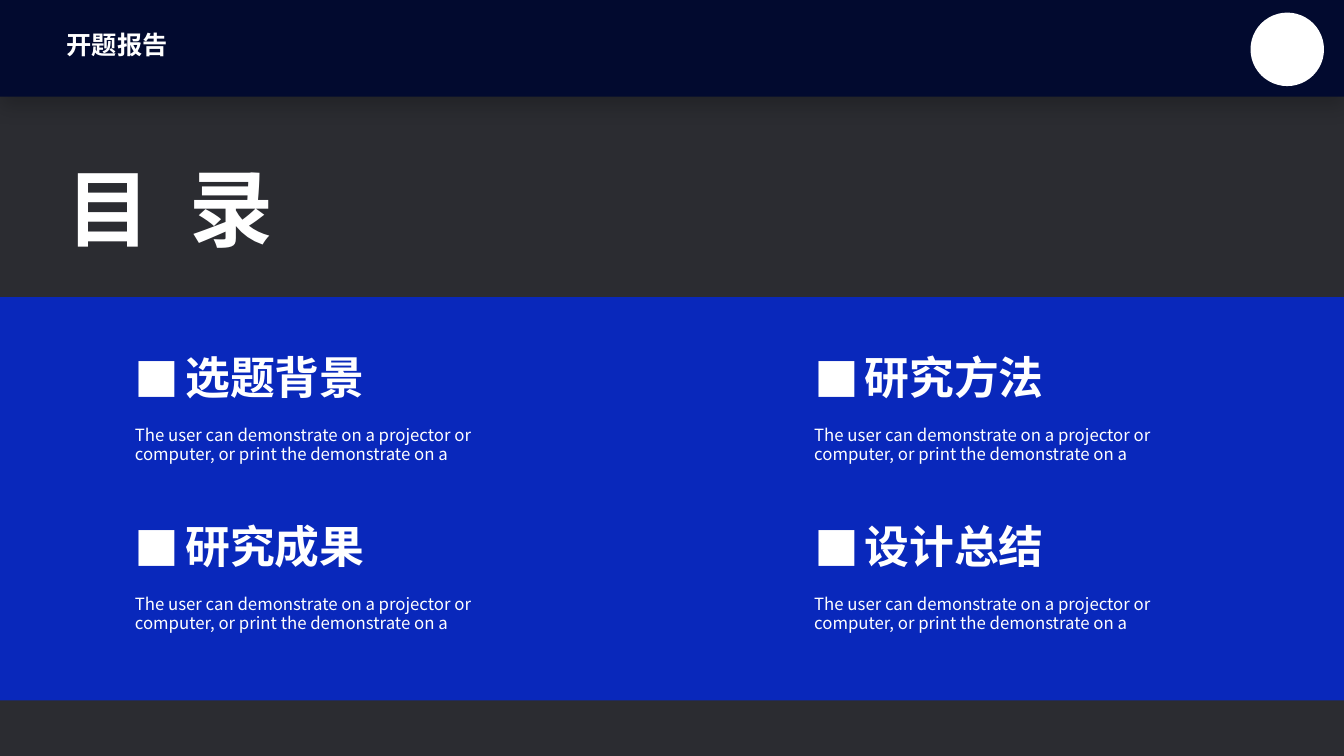
from dataclasses import dataclass

from lxml.etree import SubElement
from pptx import Presentation
from pptx.dml.color import RGBColor
from pptx.enum.shapes import MSO_SHAPE
from pptx.oxml.ns import qn
from pptx.shapes.autoshape import Shape
from pptx.util import Emu, Pt

EMU_PER_PX = 9525
FONT = "Noto Sans CJK SC"
CHARCOAL = RGBColor(0x2B, 0x2C, 0x31)
BLUE = RGBColor(0x09, 0x28, 0xBB)
NAVY = RGBColor(0x02, 0x0A, 0x2F)
WHITE = RGBColor(0xFF, 0xFF, 0xFF)

TOPICS = ("选题背景", "研究方法", "研究成果", "设计总结")
SUMMARY = (
    "The user can demonstrate on a projector or computer, "
    "or print the demonstrate on a"
)
COLUMNS = 2
GRID_LEFT, GRID_TOP = 119, 334
COLUMN_STEP, ROW_STEP = 647, 161
SUMMARY_DROP = 67


@dataclass(frozen=True)
class Box:
    left: int
    top: int
    width: int
    height: int

    def emu(self) -> list[Emu]:
        edges = (self.left, self.top, self.width, self.height)
        return [Emu(edge * EMU_PER_PX) for edge in edges]


@dataclass(frozen=True)
class TextStyle:
    size: int
    line_spacing: float
    bold: bool = True
    wrap: bool = True
    tracking: int = 0
    bullet: str = ""


LABEL = TextStyle(18, 0.87, wrap=False)
TITLE = TextStyle(60, 1.01, tracking=700)
HEADING = TextStyle(32, 0.9, bullet="■")
BODY = TextStyle(12, 0.95, bold=False)


def add_block(shapes, kind: MSO_SHAPE, box: Box, color: RGBColor) -> Shape:
    block = shapes.add_shape(kind, *box.emu())
    block.shadow.inherit = False
    block.fill.solid()
    block.fill.fore_color.rgb = color
    block.line.fill.background()
    return block


def add_soft_shadow(block: Shape) -> None:
    effects = block._element.spPr.find(qn("a:effectLst"))
    shadow = SubElement(
        effects, qn("a:outerShdw"), blurRad=str(Pt(14)), dist=str(Pt(6)),
        dir="5400000", algn="t", rotWithShape="0",
    )
    color = SubElement(shadow, qn("a:srgbClr"), val="000000")
    SubElement(color, qn("a:alpha"), val="20000")


def add_text(shapes, box: Box, text: str, style: TextStyle) -> None:
    frame = shapes.add_textbox(*box.emu()).text_frame
    frame.word_wrap = style.wrap
    paragraph = frame.paragraphs[0]
    paragraph.text = text
    paragraph.line_spacing = style.line_spacing
    if style.bullet:
        properties = paragraph._p.get_or_add_pPr()
        properties.set("marL", "457200")
        properties.set("indent", "-457200")
        SubElement(properties, qn("a:buFont"), typeface=FONT)
        SubElement(properties, qn("a:buChar"), char=style.bullet)
    for run in paragraph.runs:
        run.font.name = FONT
        run.font.size = Pt(style.size)
        run.font.bold = style.bold
        run.font.color.rgb = WHITE
        run_properties = run._r.get_or_add_rPr()
        SubElement(run_properties, qn("a:ea"), typeface=FONT)
        if style.tracking:
            run_properties.set("spc", str(style.tracking))


def add_topic(shapes, index: int, topic: str) -> None:
    row, column = divmod(index, COLUMNS)
    left = GRID_LEFT + column * COLUMN_STEP
    top = GRID_TOP + row * ROW_STEP
    entry = shapes.add_group_shape().shapes
    add_text(entry, Box(left, top, 267, 61), topic, HEADING)
    add_text(entry, Box(left, top + SUMMARY_DROP, 394, 54), SUMMARY, BODY)


def main() -> None:
    deck = Presentation()
    deck.slide_width = Emu(1280 * EMU_PER_PX)
    deck.slide_height = Emu(720 * EMU_PER_PX)
    slide = deck.slides.add_slide(deck.slide_layouts[6])
    slide.background.fill.solid()
    slide.background.fill.fore_color.rgb = CHARCOAL
    shapes = slide.shapes

    add_block(shapes, MSO_SHAPE.RECTANGLE, Box(0, 283, 1280, 384), BLUE)
    header = add_block(shapes, MSO_SHAPE.RECTANGLE, Box(0, 0, 1280, 92), NAVY)
    add_soft_shadow(header)
    add_text(shapes, Box(54, 27, 116, 38), "开题报告", LABEL)
    add_text(shapes, Box(54, 143, 262, 111), "目 录", TITLE)
    for index, topic in enumerate(TOPICS):
        add_topic(shapes, index, topic)
    add_block(shapes, MSO_SHAPE.OVAL, Box(1191, 12, 70, 70), WHITE)

    deck.save("out.pptx")


if __name__ == "__main__":
    main()
